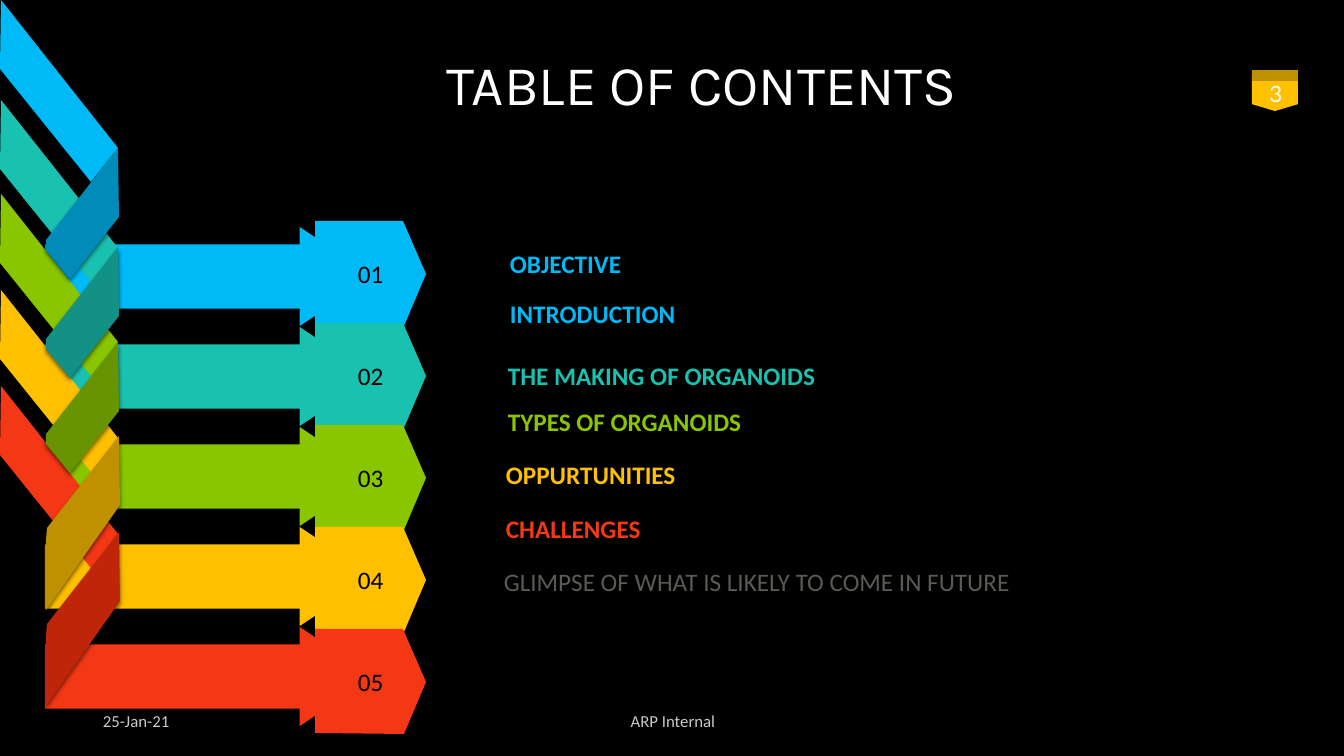
import pptx
import pptx.util
import pptx.dml.color
import pptx.enum.shapes
import pptx.enum.text
import pptx.oxml
import pptx.oxml.ns

RGB = pptx.dml.color.RGBColor
SHAPE = pptx.enum.shapes.MSO_SHAPE
ALIGN = pptx.enum.text.PP_ALIGN
ANCHOR = pptx.enum.text.MSO_ANCHOR
PX = 914400 / 100.8  # EMU in one pixel

BLACK, WHITE = RGB(0, 0, 0), RGB(255, 255, 255)
BLUE, DARK_BLUE = RGB(0x00, 0xBA, 0xF7), RGB(0x00, 0x8B, 0xB9)
TEAL, DARK_TEAL = RGB(0x19, 0xC1, 0xB0), RGB(0x13, 0x91, 0x84)
GREEN, DARK_GREEN = RGB(0x89, 0xC6, 0x00), RGB(0x67, 0x94, 0x00)
YELLOW, DARK_YELLOW = RGB(0xFF, 0xC0, 0x00), RGB(0xBF, 0x90, 0x00)
RED, DARK_RED = RGB(0xF4, 0x38, 0x16), RGB(0xBF, 0x25, 0x09)
GREY, PALE_GREY = RGB(0x59, 0x5C, 0x54), RGB(0xC8, 0xCA, 0xC5)

COLOURS = [BLUE, TEAL, GREEN, YELLOW, RED]
FOLD_COLOURS = [DARK_BLUE, DARK_TEAL, DARK_GREEN, DARK_YELLOW, DARK_RED]

deck = pptx.Presentation()
deck.slide_width, deck.slide_height = int(1344 * PX), int(756 * PX)
slide = deck.slides.add_slide(deck.slide_layouts[6])
slide.background.fill.solid()
slide.background.fill.fore_color.rgb = BLACK


def paint(shape, colour):
    shape.shadow.inherit = False
    shape.fill.solid()
    shape.fill.fore_color.rgb = colour
    shape.line.fill.background()
    return shape


def write(shape, text, size, colour, align, anchor=ANCHOR.MIDDLE,
          font="Calibri", bold=False):
    frame = shape.text_frame
    frame.word_wrap, frame.vertical_anchor = True, anchor
    paragraph = frame.paragraphs[0]
    paragraph.alignment = align
    run = paragraph.add_run()
    run.text = text
    run.font.color.rgb = colour
    font_format = {"name": font, "size": pptx.util.Pt(size), "bold": bold}
    for key, value in font_format.items():
        setattr(run.font, key, value)
    return paragraph


# Page number badge
for preset, box, colour in [
    (SHAPE.FLOWCHART_OFFPAGE_CONNECTOR, (1252, 77, 46, 34), YELLOW),
    (SHAPE.RECTANGLE, (1252, 70, 46, 11), DARK_YELLOW),
]:
    paint(slide.shapes.add_shape(preset, *[int(v * PX) for v in box]), colour)

# Horizontal arrows
for row, colour in enumerate(COLOURS):
    box = (45, 227 + 100 * row, 329, 99)
    arrow = slide.shapes.add_shape(SHAPE.RIGHT_ARROW, *[int(v * PX) for v in box])
    arrow.adjustments[0], arrow.adjustments[1] = 0.65, 0.75
    paint(arrow, colour)

# Ribbon bands, their folded ends and the numbered tags
BAND = [(1, 0), (118, 148), (91, 182), (0, 69)]
SHORT_FOLD = [(118, 0), (46, 92), (46, 102), (70, 131), (119, 69)]
LONG_FOLD = [(119, 0), (47, 92), (46, 104), (46, 174), (120, 69)]
TAG = [(315, 0), (403, 0), (426, 53), (404, 105), (315, 104)]
FOLDS = [SHORT_FOLD] * 3 + [LONG_FOLD] * 2
SHADOW = (
    '<a:outerShdw %s blurRad="38100" dist="25400" dir="5400000">'
    '<a:srgbClr val="000000"><a:alpha val="50000"/></a:srgbClr></a:outerShdw>'
    % pptx.oxml.ns.nsdecls("a"))

for part, outlines, tops, colours in [
    ("band", [BAND] * 5, [0, 100, 194, 290, 386], COLOURS),
    ("fold", FOLDS, [148, 247, 342, 436, 532], FOLD_COLOURS),
    ("tag", [TAG] * 5, [221 + 102 * row for row in range(5)], COLOURS),
]:
    for row, (outline, top, colour) in enumerate(zip(outlines, tops, colours)):
        corners = [(x, top + y) for x, y in outline]
        builder = slide.shapes.build_freeform(*corners[0], scale=PX)
        builder.add_line_segments(corners[1:], close=True)
        piece = paint(builder.convert_to_shape(), colour)
        if part == "fold":
            effects = piece._element.spPr.find(pptx.oxml.ns.qn("a:effectLst"))
            effects.append(pptx.oxml.parse_xml(SHADOW))
        elif part == "tag":
            write(piece, f"{row + 1:02d}", 18, BLACK, ALIGN.CENTER)

# Contents entries
for left, top, entry, colour in [
    (500, 243, "OBJECTIVE", BLUE),
    (500, 293, "INTRODUCTION", BLUE),
    (498, 355, "THE MAKING OF ORGANOIDS", TEAL),
    (498, 401, "TYPES OF ORGANOIDS", GREEN),
    (496, 454, "OPPURTUNITIES", YELLOW),
    (496, 508, "CHALLENGES", RED),
    (494, 561, "GLIMPSE OF WHAT IS LIKELY TO COME IN FUTURE", GREY),
]:
    box = slide.shapes.add_textbox(*[int(v * PX) for v in (left, top, 531, 40)])
    write(box, entry, 18, colour, ALIGN.LEFT, ANCHOR.TOP, bold=colour != GREY)

# Title, footer, date and page number
for box, text, size, colour, align, font in [
    ((140, 41, 1123, 92), "TABLE OF CONTENTS", 40, WHITE, ALIGN.CENTER, "Karla"),
    ((446, 701, 454, 40), "ARP Internal", 12, PALE_GREY, ALIGN.CENTER, "Calibri"),
    ((93, 701, 302, 40), "25-Jan-21", 12, PALE_GREY, ALIGN.LEFT, "Calibri"),
    ((1231, 74, 90, 40), "3", 16, WHITE, ALIGN.CENTER, "Lato"),
]:
    label = slide.shapes.add_textbox(*[int(v * PX) for v in box])
    paragraph = write(label, text, size, colour, align, font=font)
    if font == "Karla":
        paragraph.line_spacing = 0.9

deck.save("out.pptx")
